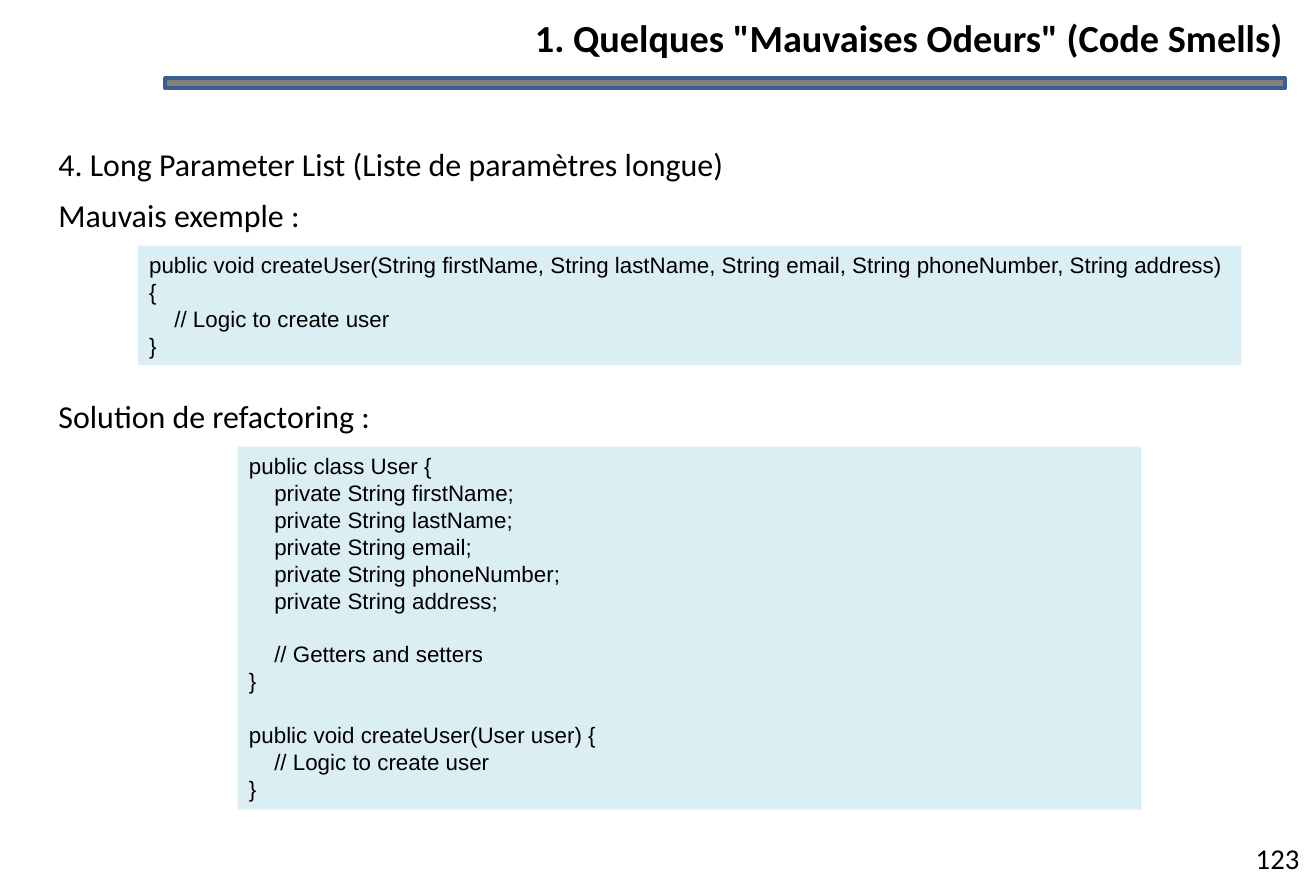
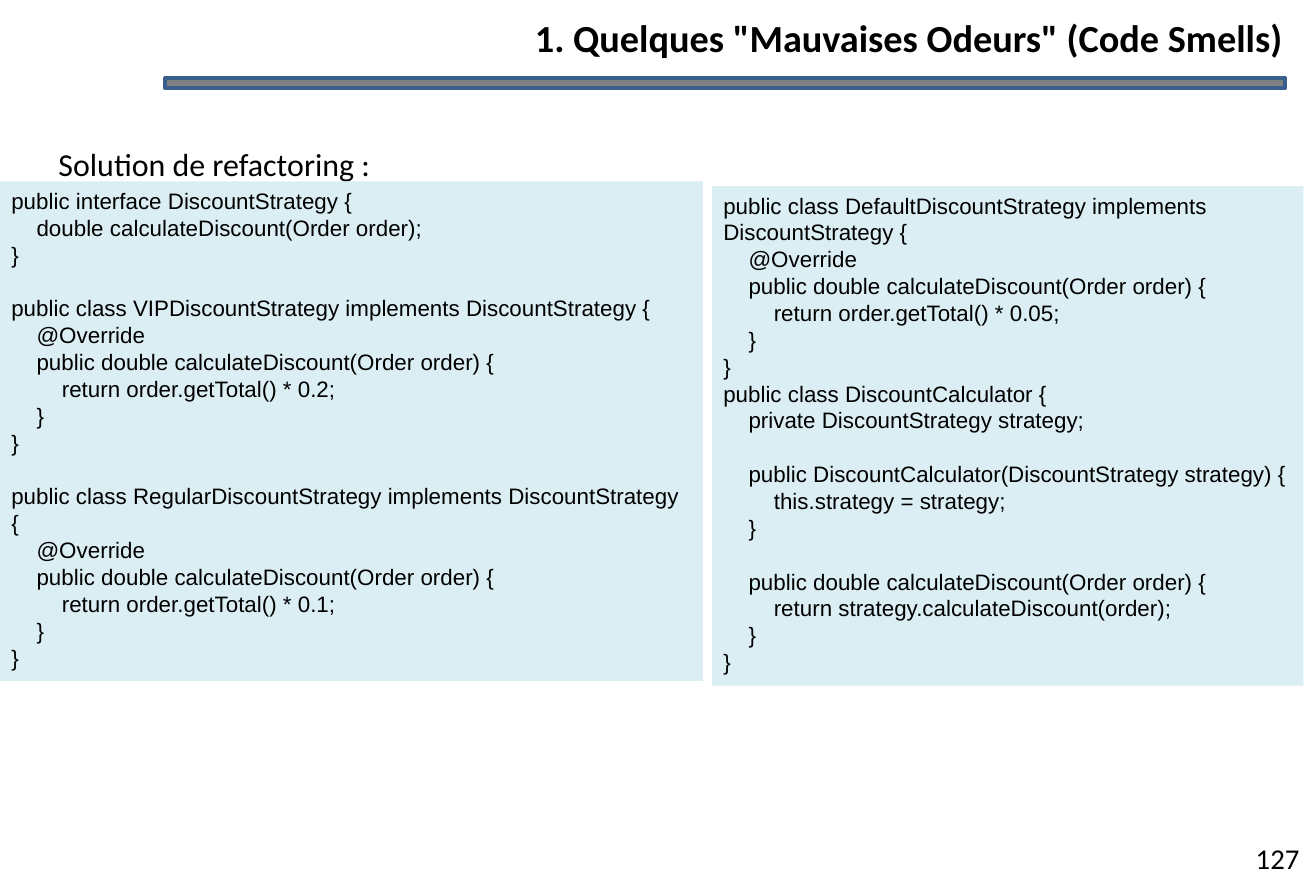
from pptx import Presentation
from pptx.dml.color import RGBColor
from pptx.enum.shapes import MSO_SHAPE
from pptx.enum.text import MSO_ANCHOR, MSO_AUTO_SIZE, PP_ALIGN
from pptx.util import Inches, Pt

BLACK = "000000"
GREY = "808080"
BLUE = "3A5F8C"
CODE_FILL = "DBEEF4"
TITLE = '1. Quelques "Mauvaises Odeurs" (Code Smells)'
CODE_PITCH = 16.84
CODE_INDENT = 0.22
LABEL_LEFT, LABEL_WIDTH = 0.22, 11.02
LABEL_INDENT = 0.19

LONG_LIST = """
public void createUser(String firstName, String lastName, String email, String phoneNumber, String address) {
    // Logic to create user
}
"""

USER_CLASS = """
public class User {
    private String firstName;
    private String lastName;
    private String email;
    private String phoneNumber;
    private String address;

    // Getters and setters
}

public void createUser(User user) {
    // Logic to create user
}
"""

STRATEGIES = """
public interface DiscountStrategy {
    double calculateDiscount(Order order);
}

public class VIPDiscountStrategy implements DiscountStrategy {
    @Override
    public double calculateDiscount(Order order) {
        return order.getTotal() * 0.2;
    }
}

public class RegularDiscountStrategy implements DiscountStrategy {
    @Override
    public double calculateDiscount(Order order) {
        return order.getTotal() * 0.1;
    }
}
"""

CALCULATOR = """
public class DefaultDiscountStrategy implements DiscountStrategy {
    @Override
    public double calculateDiscount(Order order) {
        return order.getTotal() * 0.05;
    }
}
public class DiscountCalculator {
    private DiscountStrategy strategy;

    public DiscountCalculator(DiscountStrategy strategy) {
        this.strategy = strategy;
    }

    public double calculateDiscount(Order order) {
        return strategy.calculateDiscount(order);
    }
}
"""


def rgb(value):
    return RGBColor.from_string(value)


def place(sp, left, top, width, height):
    sp.left, sp.top = Inches(left), Inches(top)
    sp.width, sp.height = Inches(width), Inches(height)


def write(p, text, size, font="Calibri", bold=False, align=PP_ALIGN.LEFT):
    p.text = text
    p.alignment = align
    for r in p.runs:
        r.font.name = font
        r.font.size = Pt(size)
        r.font.bold = bold
        r.font.color.rgb = rgb(BLACK)


def indent(p, length):
    p._p.get_or_add_pPr().set("marL", str(Inches(length)))


def paragraph(tf, index):
    return tf.paragraphs[0] if index == 0 else tf.add_paragraph()


def add_box(s, box, fill):
    sp = s.shapes.add_shape(MSO_SHAPE.RECTANGLE, *map(Inches, box))
    sp.shadow.inherit = False
    sp.fill.solid()
    sp.fill.fore_color.rgb = rgb(fill)
    sp.line.fill.background()
    return sp


def add_text(s, box):
    tf = s.shapes.add_textbox(*map(Inches, box)).text_frame
    tf.word_wrap = True
    return tf


def add_title(s):
    sp = s.shapes.title
    place(sp, 1.95, 0.12, 9.22, 0.42)
    tf = sp.text_frame
    tf.margin_left = tf.margin_right = tf.margin_top = tf.margin_bottom = 0
    tf.auto_size = MSO_AUTO_SIZE.NONE
    tf.vertical_anchor = MSO_ANCHOR.TOP
    tf.word_wrap = True
    write(tf.paragraphs[0], TITLE, 24, bold=True, align=PP_ALIGN.RIGHT)


def add_band(s):
    band = add_box(s, (1.44, 0.68, 9.75, 0.09), GREY)
    band.line.color.rgb = rgb(BLUE)
    band.line.width = Pt(2.5)


def add_page_number(s, number):
    tf = add_text(s, (10.8, 7.27, 0.65, 0.4))
    write(tf.paragraphs[0], str(number), 18, align=PP_ALIGN.CENTER)


def add_labels(s, top, bottom, labels):
    tf = add_text(s, (LABEL_LEFT, top, LABEL_WIDTH, bottom - top))
    for i, text in enumerate(labels):
        p = paragraph(tf, i)
        write(p, text, 20)
        p.line_spacing = 1.15
        p.space_before = Pt(4.5)
        indent(p, LABEL_INDENT)


def add_code(s, box, code):
    tf = add_box(s, box, CODE_FILL).text_frame
    tf.word_wrap = True
    tf.vertical_anchor = MSO_ANCHOR.TOP
    count = gap = 0
    for line in code.strip().splitlines():
        text = line.lstrip()
        if not text:
            gap += CODE_PITCH
            continue
        level = (len(line) - len(text)) // 4
        p = paragraph(tf, count)
        write(p, text, 14, font="Arial")
        p.line_spacing = Pt(CODE_PITCH)
        p.space_before = Pt(gap)
        indent(p, level * CODE_INDENT)
        count, gap = count + 1, 0


def add_smell_slide(prs, number, sections, blocks):
    s = prs.slides.add_slide(prs.slide_layouts[5])
    add_band(s)
    add_title(s)
    add_page_number(s, number)
    for top, bottom, labels in sections:
        add_labels(s, top, bottom, labels)
    for box, code in blocks:
        add_code(s, box, code)


def main():
    prs = Presentation()
    prs.slide_width, prs.slide_height = Inches(11.46), Inches(7.68)
    add_smell_slide(
        prs,
        123,
        [
            (
                1.16,
                2.14,
                [
                    "4. Long Parameter List (Liste de paramètres longue)",
                    "Mauvais exemple :",
                ],
            ),
            (3.35, 3.89, ["Solution de refactoring :"]),
        ],
        [
            ((1.2, 2.14, 9.61, 1.04), LONG_LIST),
            ((2.07, 3.89, 7.87, 3.16), USER_CLASS),
        ],
    )
    add_smell_slide(
        prs,
        127,
        [(1.16, 1.58, ["Solution de refactoring :"])],
        [
            ((0, 1.58, 6.12, 4.35), STRATEGIES),
            ((6.2, 1.62, 5.15, 4.35), CALCULATOR),
        ],
    )
    prs.save("out.pptx")


if __name__ == "__main__":
    main()
